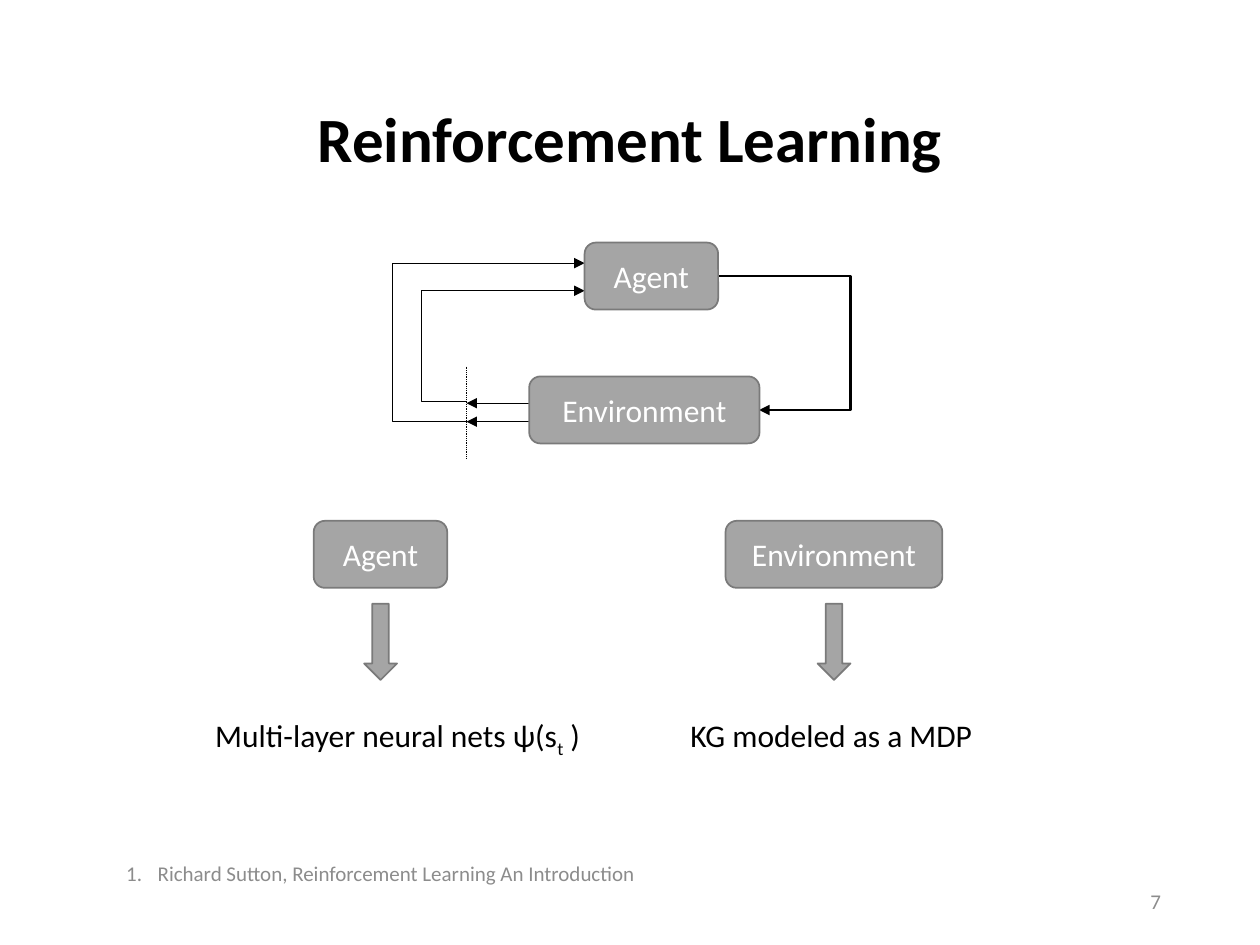
from lxml import etree
from pptx import Presentation
from pptx.dml.color import RGBColor
from pptx.enum import dml, shapes, text
from pptx.oxml import ns
from pptx.util import Pt

BLACK = RGBColor(0x00, 0x00, 0x00)
WHITE = RGBColor(0xFF, 0xFF, 0xFF)
BOX_GREY = RGBColor(0xA5, 0xA5, 0xA5)
EDGE_GREY = RGBColor(0x7A, 0x7A, 0x7A)
NOTE_GREY = RGBColor(0x8C, 0x8C, 0x8C)

deck = Presentation()
deck.slide_width, deck.slide_height = Pt(720), Pt(540)
slide = deck.slides.add_slide(deck.slide_layouts[6])


def write(shape, wording, size=18, color=BLACK, bold=False, wrap=True,
          align=text.PP_ALIGN.CENTER, anchor=text.MSO_ANCHOR.MIDDLE,
          spacing=None, numbered=False):
    """Fill a shape with one paragraph; parts between underscores are subscript."""
    frame = shape.text_frame
    frame.word_wrap = wrap
    frame.vertical_anchor = anchor
    if not wrap:
        frame.auto_size = text.MSO_AUTO_SIZE.SHAPE_TO_FIT_TEXT
    paragraph = frame.paragraphs[0]
    paragraph.alignment = align
    if spacing:
        paragraph.line_spacing = spacing
    if numbered:
        properties = paragraph._p.get_or_add_pPr()
        properties.set("marL", str(Pt(18)))
        properties.set("indent", str(-Pt(18)))
        etree.SubElement(properties, ns.qn("a:buAutoNum"), type="arabicPeriod")
    for i, part in enumerate(wording.split("_")):
        run = paragraph.add_run()
        run.text = part
        run.font.name, run.font.size = "Calibri", Pt(size)
        run.font.bold = bold
        run.font.color.rgb = color
        if i % 2:
            run._r.get_or_add_rPr().set("baseline", "-25000")


def connect(start, end, width=0.5, bend_x=None, dotted=False):
    """Draw a line, or an elbow that turns at bend_x; solid ones get an arrowhead."""
    kind = shapes.MSO_CONNECTOR.STRAIGHT if bend_x is None else shapes.MSO_CONNECTOR.ELBOW
    connector = slide.shapes.add_connector(kind, *map(Pt, start + end))
    connector.line.color.rgb = BLACK
    connector.line.width = Pt(width)
    properties = connector._element.spPr
    if bend_x is not None:
        bend = round((bend_x - start[0]) / (end[0] - start[0]) * 100000)
        guides = properties.find(ns.qn("a:prstGeom")).get_or_add_avLst()
        etree.SubElement(guides, ns.qn("a:gd"), name="adj1", fmla=f"val {bend}")
    if dotted:
        connector.line.dash_style = dml.MSO_LINE.ROUND_DOT
    else:
        etree.SubElement(properties.find(ns.qn("a:ln")), ns.qn("a:tailEnd"), type="triangle")
    etree.SubElement(properties, ns.qn("a:effectLst"))


# Title, page number and reference
title = slide.shapes.add_textbox(Pt(49.5), Pt(28.75), Pt(621), Pt(104.4))
write(title, "Reinforcement Learning", size=36, bold=True, spacing=0.9)
page_number = slide.shapes.add_textbox(Pt(508.5), Pt(500.5), Pt(162), Pt(28.75))
write(page_number, "7", size=12, color=NOTE_GREY, align=text.PP_ALIGN.RIGHT)
reference = slide.shapes.add_textbox(Pt(29.5), Pt(484.75), Pt(376), Pt(28.75))
write(reference, "Richard Sutton, Reinforcement Learning An Introduction",
      size=12, color=NOTE_GREY, numbered=True)

# Loop between agent and environment: action, feedback, boundary
connect((410.4, 157.8), (433.8, 234.3), width=1.25, bend_x=486)
for feedback_y in (230.4, 241):
    connect((302.4, feedback_y), (266.6, feedback_y))
connect((266.8, 209.5), (266.8, 262), dotted=True)
connect((266.8, 241), (334.1, 150.4), bend_x=224.2)
connect((266.8, 229.5), (334.1, 166.2), bend_x=241)

# Boxes of the loop, then the two parts with their down arrows
ROUNDED, DOWN = shapes.MSO_SHAPE.ROUNDED_RECTANGLE, shapes.MSO_SHAPE.DOWN_ARROW
for kind, label, left, top, width, height in (
    (ROUNDED, "Agent", 334.1, 138.6, 76.3, 38.3),
    (ROUNDED, "Environment", 302.4, 215.1, 131.6, 38.3),
    (ROUNDED, "Agent", 179.3, 297.6, 76.3, 38.3),
    (ROUNDED, "Environment", 414.6, 297.6, 123.9, 38.3),
    (DOWN, "", 208.1, 345, 18.8, 43.5),
    (DOWN, "", 467.2, 345, 18.8, 43.5),
):
    part = slide.shapes.add_shape(kind, Pt(left), Pt(top), Pt(width), Pt(height))
    part.shadow.inherit = False
    part.fill.solid()
    part.fill.fore_color.rgb = BOX_GREY
    part.line.color.rgb = EDGE_GREY
    part.line.width = Pt(1)
    if label:
        write(part, label, color=WHITE)

# What each part becomes
for meaning, left, width in (
    ("Multi-layer neural nets ѱ(s_t_ )", 115.9, 226),
    ("KG modeled as a MDP", 387.4, 177.8),
):
    caption = slide.shapes.add_textbox(Pt(left), Pt(405.6), Pt(width), Pt(29))
    write(caption, meaning, wrap=False, align=text.PP_ALIGN.LEFT,
          anchor=text.MSO_ANCHOR.TOP)

deck.save("out.pptx")
